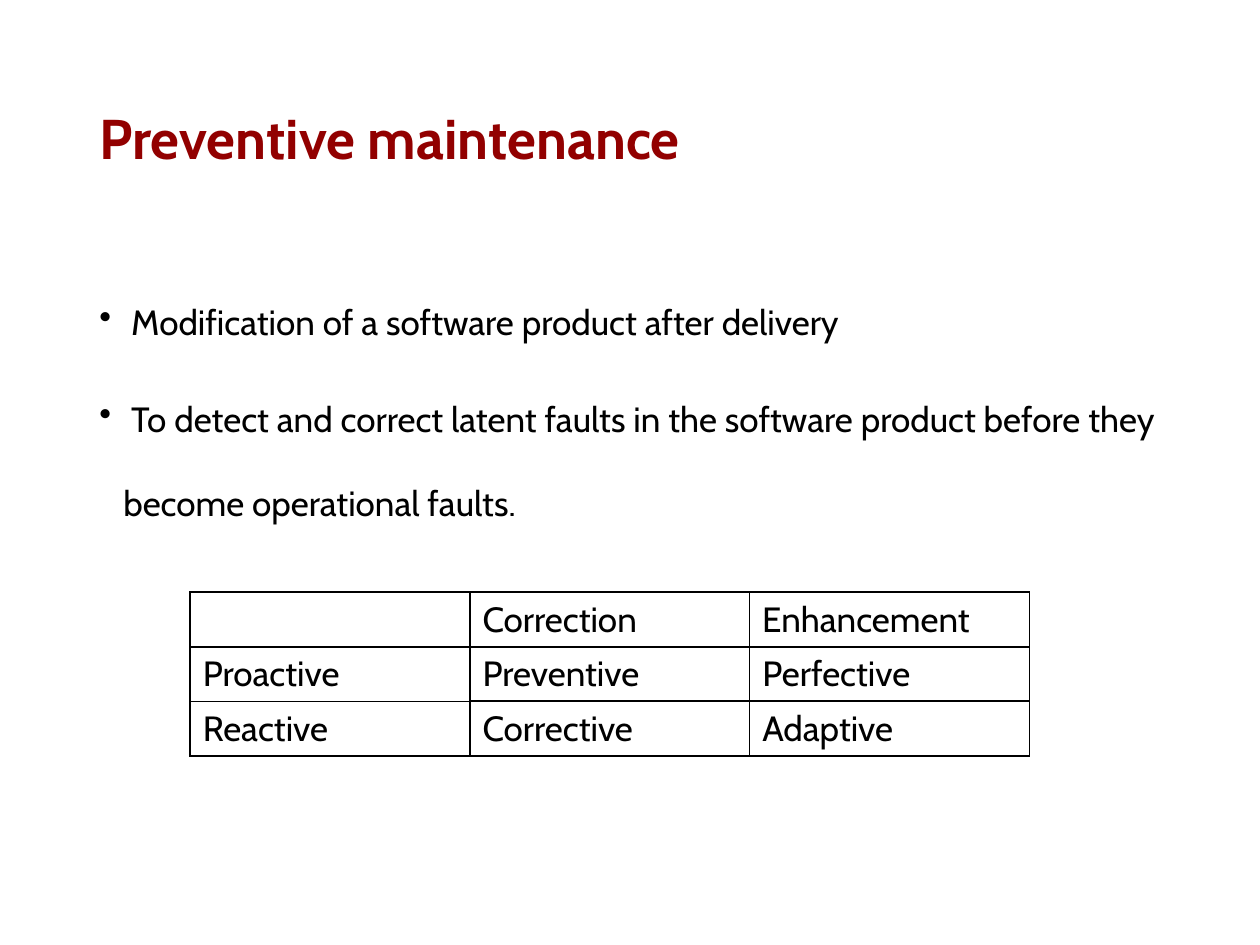
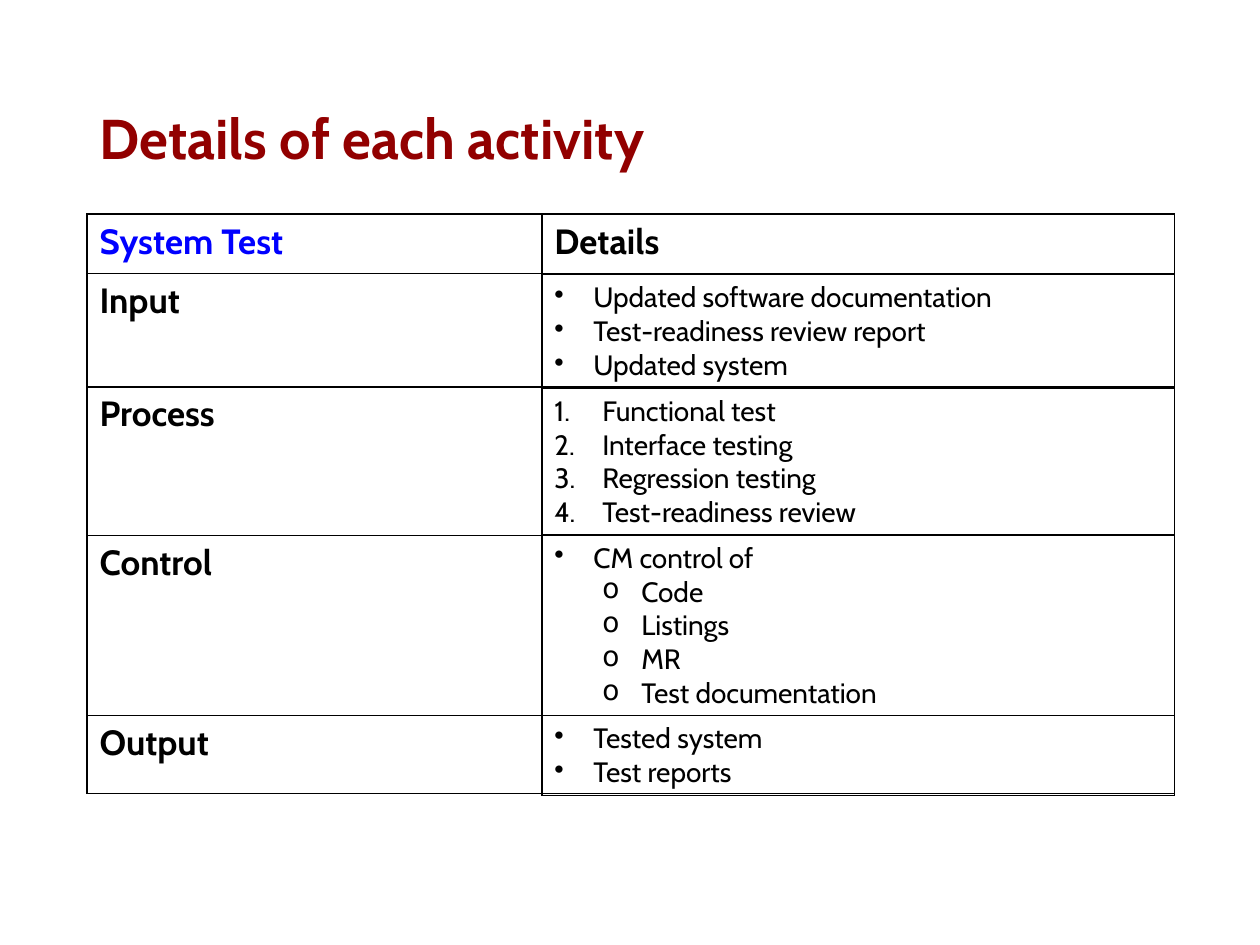
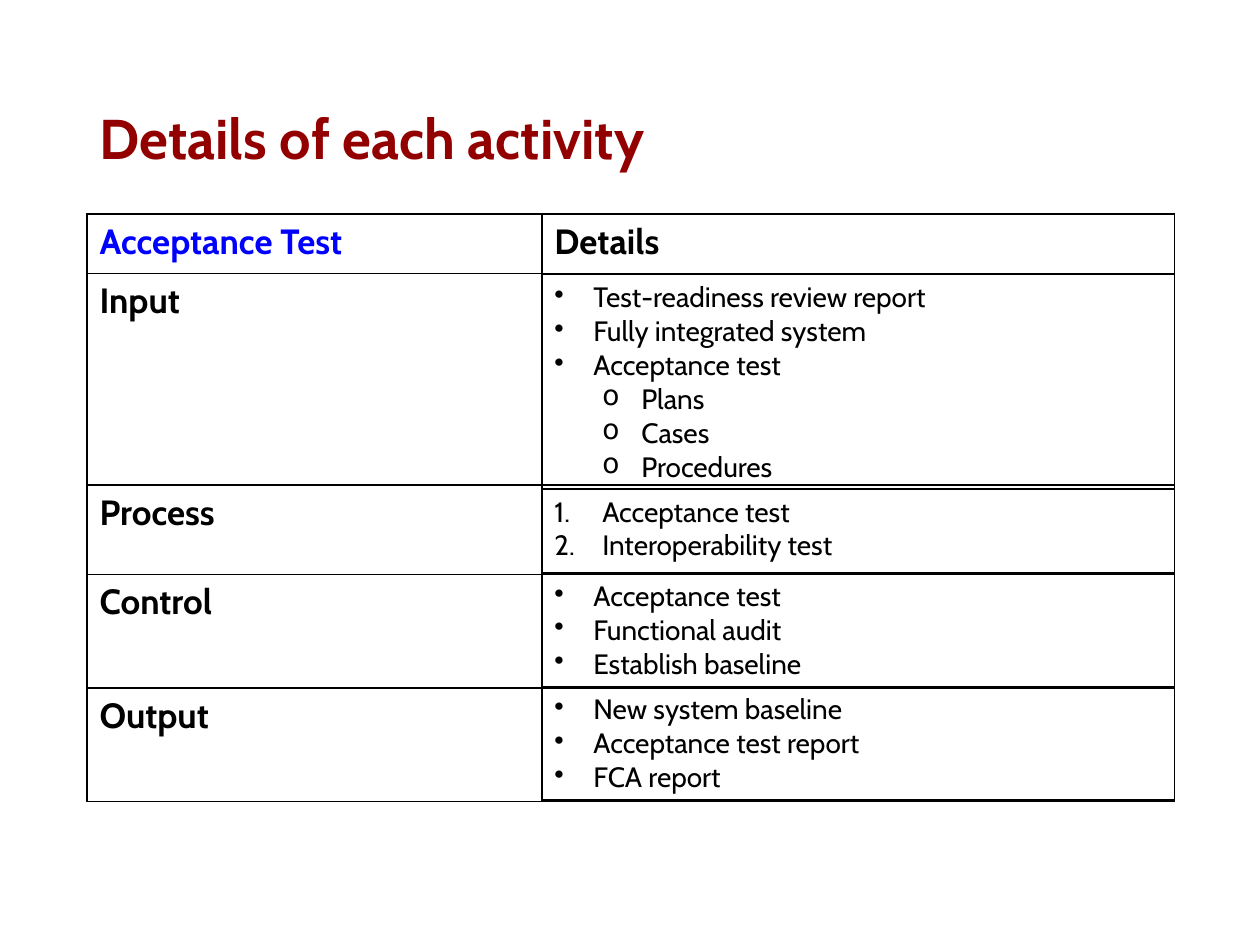
import pptx
import pptx.dml.color
import pptx.enum.text
import pptx.oxml.ns
import pptx.util
from lxml import etree

Inches = pptx.util.Inches
Pt = pptx.util.Pt
RGBColor = pptx.dml.color.RGBColor
qn = pptx.oxml.ns.qn

FONT = "Cabin"
DARK_RED = RGBColor(0x92, 0x00, 0x00)
BLUE = RGBColor(0x00, 0x00, 0xFF)
BLACK = RGBColor(0x00, 0x00, 0x00)

MARGIN = 0.69
CONTENT_WIDTH = 8.62
LABEL_WIDTH, DETAIL_WIDTH = 3.61, 5.02
HEADER_TOP, HEADER_HEIGHT = 1.7, 0.47
DETAIL_TOP = 2.18
QUADRANT_WIDTH, QUADRANT_HEIGHT = 2.22, 0.41

# Marker: (left margin, hanging indent, level, bullet element, its attributes)
MARKERS = {
    "dot": (0.31, 0.31, 0, "a:buChar", {"char": "•"}),
    "number": (0.38, 0.38, 0, "a:buAutoNum", {"type": "arabicPeriod"}),
    "circle": (0.69, 0.31, 1, "a:buChar", {"char": "o"}),
    "point": (0.19, 0.19, 0, "a:buChar", {"char": "•"}),
}


def style(paragraph, size, color=BLACK, bold=False):
    for run in paragraph.runs:
        run.font.name = FONT
        run.font.size = Pt(size)
        run.font.color.rgb = color
        run.font.bold = bold


def mark(paragraph, marker):
    """Give the paragraph its bullet or number with a hanging indent."""
    margin, hang, level, tag, attributes = MARKERS[marker]
    paragraph.level = level
    properties = paragraph._p.get_or_add_pPr()
    properties.set("marL", str(Inches(margin)))
    properties.set("indent", str(-Inches(hang)))
    etree.SubElement(properties, qn(tag), attributes)


def fill_list(frame, items, size):
    """Write (marker, text) items, one to a paragraph."""
    frame.text = "\n".join(text for _, text in items)
    for paragraph, (marker, _) in zip(frame.paragraphs, items):
        mark(paragraph, marker)
        style(paragraph, size)


def add_text_area(slide, top, height):
    area = slide.shapes.add_textbox(
        Inches(MARGIN), Inches(top), Inches(CONTENT_WIDTH), Inches(height))
    area.text_frame.word_wrap = True
    return area.text_frame


def add_titled_slide(deck, title):
    slide = deck.slides.add_slide(deck.slide_layouts[6])
    frame = add_text_area(slide, 0.4, 1.45)
    frame.vertical_anchor = pptx.enum.text.MSO_ANCHOR.MIDDLE
    frame.text = title
    heading = frame.paragraphs[0]
    heading.line_spacing = 0.9
    style(heading, 32, DARK_RED, True)
    return slide


def outline(cell):
    """Leave the cell unfilled, with a thin black line on each side."""
    cell.fill.background()
    properties = cell._tc.get_or_add_tcPr()
    for position, side in enumerate(("a:lnL", "a:lnR", "a:lnT", "a:lnB")):
        line = etree.Element(qn(side), {"w": str(Pt(1))})
        solid = etree.SubElement(line, qn("a:solidFill"))
        etree.SubElement(solid, qn("a:srgbClr"), {"val": str(BLACK)})
        properties.insert(position, line)


def add_grid(slide, left, top, widths, heights):
    grid = slide.shapes.add_table(
        len(heights), len(widths), Inches(left), Inches(top),
        Inches(sum(widths)), Inches(sum(heights))).table
    grid.first_row = False
    grid.horz_banding = False
    for column, width in zip(grid.columns, widths):
        column.width = Inches(width)
    for row, height in zip(grid.rows, heights):
        row.height = Inches(height)
    for cell in grid.iter_cells():
        outline(cell)
    return grid


def write_cell(cell, text, color=BLACK, bold=False):
    cell.text_frame.text = text
    style(cell.text_frame.paragraphs[0], 20, color, bold)


def add_quadrants(slide, left, top, rows):
    grid = add_grid(slide, left, top, [QUADRANT_WIDTH] * len(rows[0]),
                    [QUADRANT_HEIGHT] * len(rows))
    for cell, text in zip(grid.iter_cells(), sum(rows, [])):
        if text:
            write_cell(cell, text)


def add_activity_slide(deck, activity, stage_heights, detail_heights, details):
    """Lay a table of details over the right column of the stage table."""
    slide = add_titled_slide(deck, "Details of each activity")
    stages = add_grid(slide, MARGIN, HEADER_TOP, [LABEL_WIDTH, DETAIL_WIDTH],
                      [HEADER_HEIGHT] + stage_heights)
    write_cell(stages.cell(0, 0), activity, BLUE, True)
    write_cell(stages.cell(0, 1), "Details", bold=True)
    for row, stage in enumerate(("Input", "Process", "Control", "Output"), 1):
        write_cell(stages.cell(row, 0), stage, bold=True)

    detail_grid = add_grid(slide, MARGIN + LABEL_WIDTH, DETAIL_TOP,
                           [DETAIL_WIDTH], detail_heights)
    for cell, items in zip(detail_grid.iter_cells(), details):
        fill_list(cell.text_frame, items, 16)


def items(marker, *texts):
    return [(marker, text) for text in texts]


def add_preventive_slide(deck):
    slide = add_titled_slide(deck, "Preventive maintenance")
    definition = add_text_area(slide, 2, 4.76)
    fill_list(definition, items(
        "point",
        " Modification of a software product after delivery",
        " To detect and correct latent faults in the software product "
        "before they become operational faults."), 20)
    for paragraph in definition.paragraphs:
        paragraph.line_spacing = 2.0
    definition.paragraphs[1].space_before = Pt(7.5)

    left = 1.51
    add_quadrants(slide, left, 4.7, [["", "Correction", "Enhancement"],
                                     ["Proactive", "", ""],
                                     ["Reactive", "", ""]])
    add_quadrants(slide, left + QUADRANT_WIDTH, 5.13,
                  [["Preventive", "Perfective"], ["Corrective", "Adaptive"]])


def main():
    deck = pptx.Presentation()
    deck.slide_width, deck.slide_height = Inches(10), Inches(7.5)

    add_preventive_slide(deck)
    add_activity_slide(
        deck, "System Test", [0.9, 1.18, 1.43, 0.62], [0.41, 1.02, 0.41, 0.41],
        [items("dot", "Updated software documentation",
               "Test-readiness review report", "Updated system"),
         items("number", "Functional test", "Interface testing",
               "Regression testing", "Test-readiness review"),
         items("dot", "CM control of")
         + items("circle", "Code", "Listings", "MR", "Test documentation"),
         items("dot", "Tested system", "Test reports")])
    add_activity_slide(
        deck, "Acceptance Test", [1.68, 0.71, 0.9, 0.9],
        [0.41, 0.67, 0.41, 0.41],
        [items("dot", "Test-readiness review report",
               "Fully integrated system", "Acceptance test")
         + items("circle", "Plans", "Cases", "Procedures"),
         items("number", "Acceptance test", "Interoperability test"),
         items("dot", "Acceptance test", "Functional audit",
               "Establish baseline"),
         items("dot", "New system baseline", "Acceptance test report",
               "FCA report")])
    deck.save("out.pptx")


if __name__ == "__main__":
    main()
